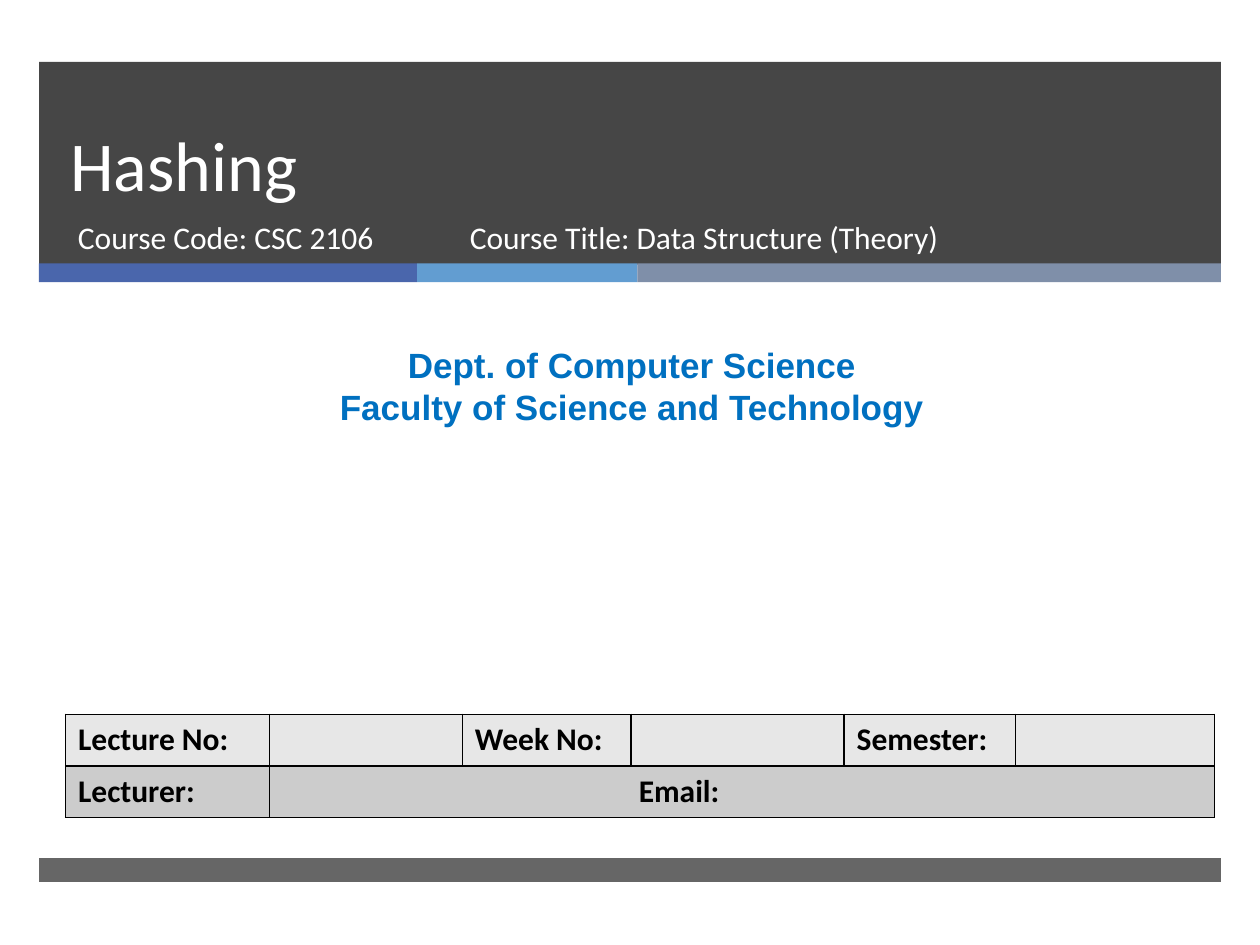
from dataclasses import dataclass

from lxml.etree import SubElement
from pptx import Presentation
from pptx.dml.color import RGBColor
from pptx.enum.shapes import MSO_SHAPE as Shape
from pptx.enum.text import MSO_ANCHOR as Anchor, PP_ALIGN as Align
from pptx.oxml.ns import qn
from pptx.util import Emu, Pt

EMU_PER_PX = 9144  # 100 px to the inch
WHITE, BLACK, BLUE, DARK = "FFFFFF", "000000", "0070C0", "262626"


@dataclass
class Band:
    left: int
    top: int
    width: int
    height: int
    color: str
    opacity: int = 100


@dataclass
class Label:
    left: int
    top: int
    width: int
    height: int
    lines: list[str]
    size: int
    color: str = WHITE
    font: str = "Calibri"
    bold: bool = False
    align: Align = Align.LEFT
    anchor: Anchor = Anchor.TOP
    line_spacing: int | None = None


BANDS = [
    Band(31, 49, 938, 161, DARK, 85),
    Band(31, 209, 300, 15, "4A66AC"),
    Band(331, 209, 175, 15, "629DD1"),
    Band(506, 209, 463, 15, "7F8FA9"),
    Band(31, 681, 938, 19, DARK, 70),
]
LABELS = [
    Label(46, 49, 854, 119, ["Hashing"], 40, anchor=Anchor.BOTTOM, line_spacing=46),
    Label(52, 168, 305, 53, ["Course Code: CSC 2106"], 18),
    Label(8, 268, 987, 77,
          ["Dept. of Computer Science", "Faculty of Science and Technology"],
          20, BLUE, "Arial", True, Align.CENTER),
    Label(363, 168, 455, 53, ["Course Title: Data Structure (Theory)"], 18),
]
COLUMN_WIDTHS = [162, 153, 134, 169, 136, 158]
ROW_HEIGHT = 41
ROW_FILLS = ["E7E7E7", "CCCCCC"]
ROWS = [
    ["Lecture No:", "", "Week No:", "", "Semester:", ""],
    ["Lecturer:", "Email:", "", "", "", ""],
]
EMAIL_MARGIN = 293


def px(length: int) -> Emu:
    return Emu(length * EMU_PER_PX)


def rgb(color: str) -> RGBColor:
    return RGBColor.from_string(color)


def style_font(para, name: str, size: int, color: str, bold: bool) -> None:
    font = para.font
    font.name, font.size, font.bold = name, Pt(size), bold
    font.color.rgb = rgb(color)


def add_band(page, band: Band) -> None:
    shape = page.shapes.add_shape(
        Shape.RECTANGLE, px(band.left), px(band.top), px(band.width), px(band.height))
    shape.shadow.inherit = False
    shape.line.fill.background()
    shape.fill.solid()
    shape.fill.fore_color.rgb = rgb(band.color)
    if band.opacity < 100:
        color = shape.fill._xPr.find(f"{qn('a:solidFill')}/{qn('a:srgbClr')}")
        SubElement(color, qn("a:alpha"), val=str(band.opacity * 1000))


def add_label(page, label: Label) -> None:
    box = page.shapes.add_textbox(
        px(label.left), px(label.top), px(label.width), px(label.height))
    frame = box.text_frame
    frame.word_wrap = True
    frame.vertical_anchor = label.anchor
    frame.text = "\n".join(label.lines)
    for para in frame.paragraphs:
        para.alignment = label.align
        if label.line_spacing:
            para.line_spacing = Pt(label.line_spacing)
        style_font(para, label.font, label.size, label.color, label.bold)


def outline_cell(cell) -> None:
    """Give all four sides a thin black border, placed before the fill."""
    properties = cell._tc.get_or_add_tcPr()
    for index, side in enumerate(("lnL", "lnR", "lnT", "lnB")):
        line = SubElement(properties, qn(f"a:{side}"), w=str(Pt(1)))
        fill = SubElement(line, qn("a:solidFill"))
        SubElement(fill, qn("a:srgbClr"), val=BLACK)
        properties.insert(index, line)


def add_lecture_table(page) -> None:
    table = page.shapes.add_table(
        len(ROWS), len(COLUMN_WIDTHS), px(52), px(567),
        px(sum(COLUMN_WIDTHS)), px(ROW_HEIGHT * len(ROWS))).table
    for column, width in zip(table.columns, COLUMN_WIDTHS):
        column.width = px(width)
    for row_index, (texts, fill) in enumerate(zip(ROWS, ROW_FILLS)):
        table.rows[row_index].height = px(ROW_HEIGHT)
        for column_index, text in enumerate(texts):
            cell = table.cell(row_index, column_index)
            cell.text = text
            cell.fill.solid()
            cell.fill.fore_color.rgb = rgb(fill)
            outline_cell(cell)
            style_font(cell.text_frame.paragraphs[0], "Calibri", 18, BLACK, True)
    email = table.cell(1, 1)
    email.merge(table.cell(1, len(COLUMN_WIDTHS) - 1))
    email.margin_left = px(EMAIL_MARGIN)


def main() -> None:
    deck = Presentation()
    deck.slide_width, deck.slide_height = px(1000), px(750)
    page = deck.slides.add_slide(deck.slide_layouts[6])
    for band in BANDS:
        add_band(page, band)
    for label in LABELS:
        add_label(page, label)
    add_lecture_table(page)
    deck.save("out.pptx")


if __name__ == "__main__":
    main()
